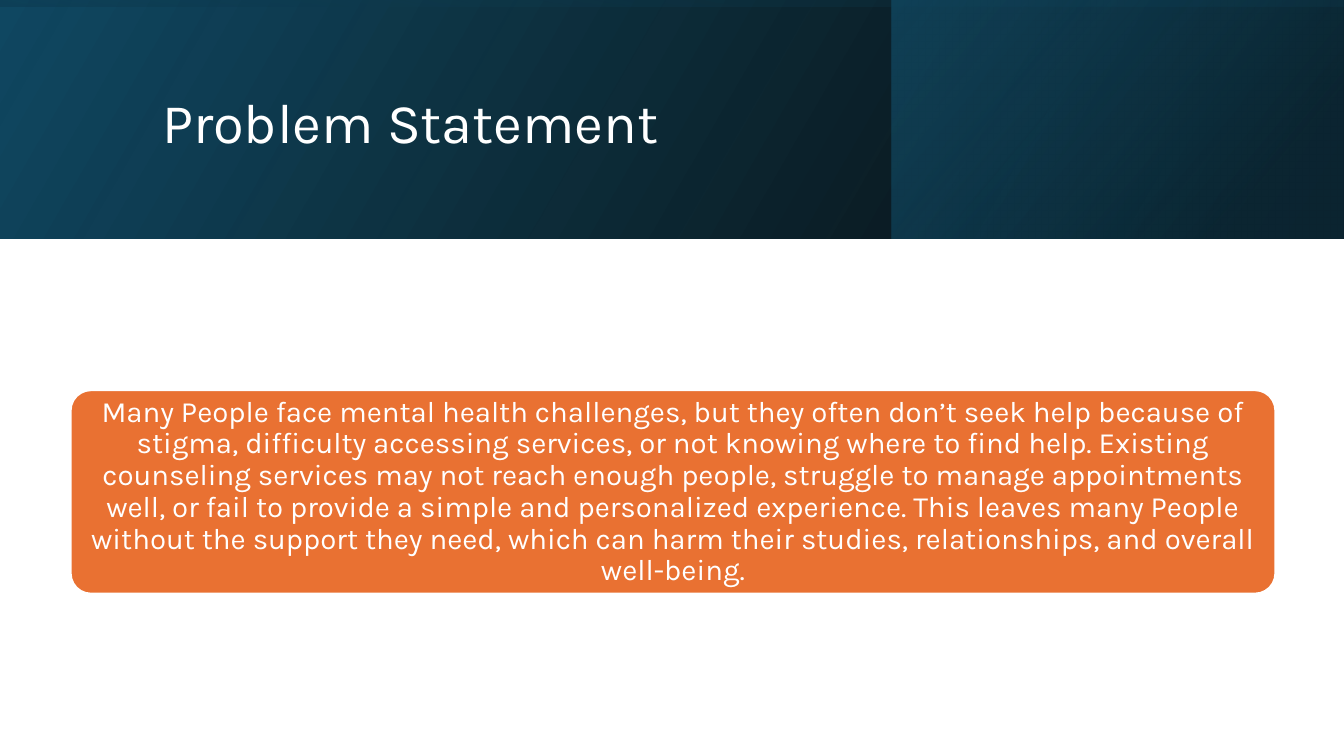
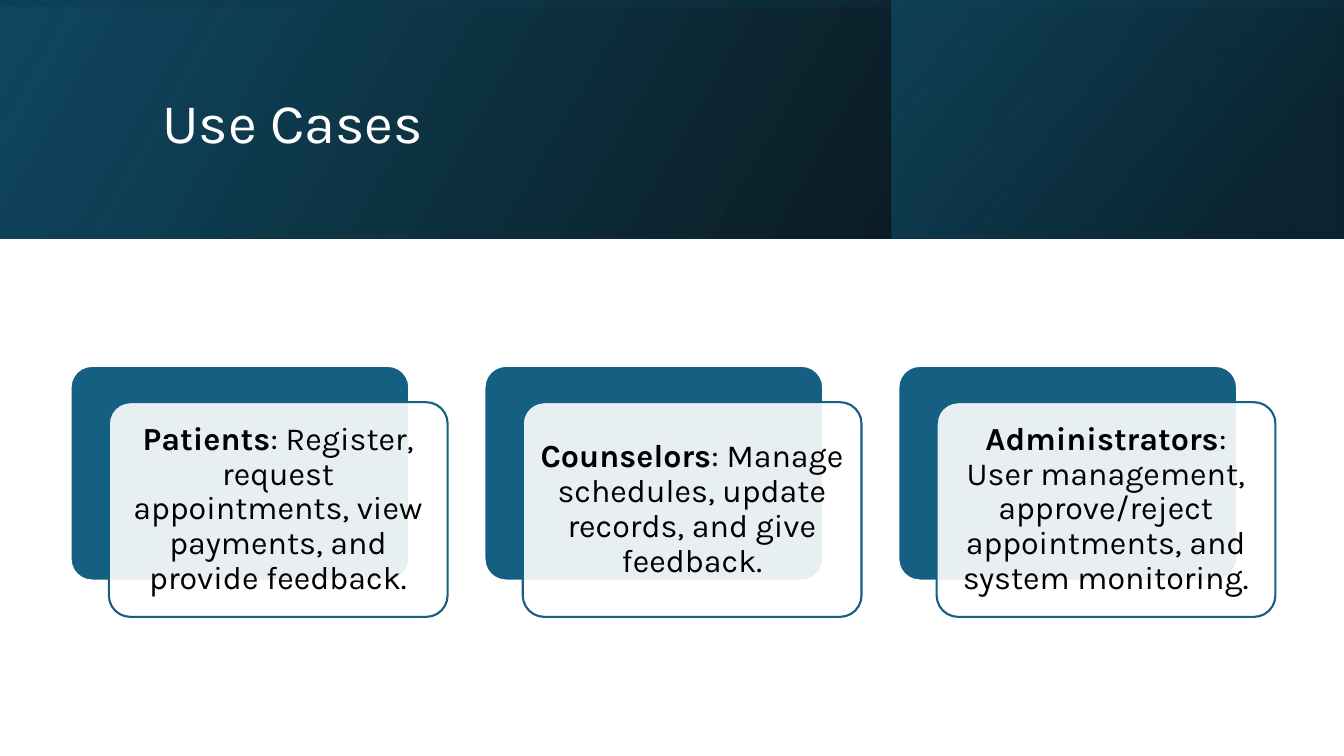
from pptx import Presentation
from pptx.dml.color import RGBColor
from pptx.enum import shapes, text
from pptx.oxml import ns
from pptx.util import Inches, Pt
from lxml import etree

COLORS = {"white": "FFFFFF", "black": "000000", "navy": "104862",
          "deep": "0B3041", "teal": "156082", "orange": "E97132"}
FONT = "Karla"
SLIDE_W, SLIDE_H = 13.33, 7.5
BAND_H = 2.37
SIDE_W = 4.48
MARGIN = 0.7
CONTENT_W = 11.95
BANDS = [
    {"box": ((SLIDE_W - SIDE_W) * 0, 0, SLIDE_W, BAND_H), "rotation": 0, "angle": 30,
     "stops": [(0, "black", 96), (1, "navy", 100)]},
    {"box": (8.84, 0, SIDE_W, BAND_H), "rotation": 0, "angle": 40,
     "stops": [(0.19, "deep", 68), (1, "teal", 48)]},
    {"box": ((SLIDE_W - BAND_H) / 2, (BAND_H - SLIDE_W) / 2, BAND_H, SLIDE_W),
     "rotation": 270, "angle": 10,
     "stops": [(0.23, "navy", 16), (0.99, "black", 45)]},
]
PROBLEM = (
    "Many People face mental health challenges, but they often don’t seek help "
    "because of stigma, difficulty accessing services, or not knowing where to find "
    "help. Existing counseling services may not reach enough people, struggle to "
    "manage appointments well, or fail to provide a simple and personalized "
    "experience. This leaves many People without the support they need, which can "
    "harm their studies, relationships, and overall well-being."
)
USE_CASES = [
    ("Patients", ": Register, request appointments, view payments, and provide feedback."),
    ("Counselors", ": Manage schedules, update records, and give feedback."),
    ("Administrators", ": User management, approve/reject appointments, and system monitoring."),
]


def rgb(name):
    return RGBColor.from_string(COLORS[name])


def apply(target, values):
    for name, value in values.items():
        setattr(target, name, value)


def set_alpha(color, percent):
    if percent < 100:
        etree.SubElement(color, ns.qn("a:alpha")).set("val", str(percent * 1000))


def add_shape(slide, kind, box):
    sp = slide.shapes.add_shape(kind, *map(Inches, box))
    sp.shadow.inherit = False
    return sp


def add_text(slide, box, runs, size, color, inset=None, para=None):
    tf = slide.shapes.add_textbox(*map(Inches, box)).text_frame
    apply(tf, {"word_wrap": True, "vertical_anchor": text.MSO_ANCHOR.MIDDLE})
    if inset is not None:
        apply(tf, {f"margin_{side}": Inches(inset)
                   for side in ("left", "top", "right", "bottom")})
    p = tf.paragraphs[0]
    apply(p, {"line_spacing": 0.9, **(para or {})})
    for words, bold in runs:
        r = p.add_run()
        r.text = words
        apply(r.font, {"name": FONT, "size": Pt(size), "bold": bold})
        r.font.color.rgb = rgb(color)


def add_band(slide, box, rotation, angle, stops):
    sp = add_shape(slide, shapes.MSO_SHAPE.RECTANGLE, box)
    sp.rotation = rotation
    sp.line.fill.background()
    sp.fill.gradient()
    sp.fill.gradient_angle = angle
    spPr = sp._element.spPr
    spPr.find(ns.qn("a:xfrm")).set("flipH", "1")
    for stop, (position, color, _) in zip(sp.fill.gradient_stops, stops):
        stop.position = position
        stop.color.rgb = rgb(color)
    for node, (_, _, alpha) in zip(spPr.iter(ns.qn("a:srgbClr")), stops):
        set_alpha(node, alpha)


def add_header(slide, title):
    for band in BANDS:
        add_band(slide, **band)
    add_text(slide, (1.51, 0.38, 10.63, 1.72), [(title, False)], 40, "white")


def add_panel(slide, box, fill, line, alpha=100):
    sp = add_shape(slide, shapes.MSO_SHAPE.ROUNDED_RECTANGLE, box)
    sp.adjustments[0] = 0.1
    sp.fill.solid()
    sp.fill.fore_color.rgb = rgb(fill)
    set_alpha(next(sp._element.spPr.iter(ns.qn("a:srgbClr"))), alpha)
    sp.line.color.rgb = rgb(line)
    sp.line.width = Pt(1.5)


def add_panel_text(slide, box, runs, size, color, inset):
    x, y, w, h = box
    pad = 0.06
    add_text(slide, (x + pad, y + pad, w - 2 * pad, h - 2 * pad), runs, size, color, inset,
             {"alignment": text.PP_ALIGN.CENTER, "space_after": Pt(0.35 * size)})


def add_statement(slide, box):
    add_panel(slide, box, "orange", "white")
    add_panel_text(slide, box, [(PROBLEM, False)], 21, "white", 0.09)


def add_card(slide, box, role, tasks):
    x, y, w, h = box
    dx, dy = 0.38, 0.36
    size = (w - dx, h - dy)
    front = (x + dx, y + dy, *size)
    add_panel(slide, (x, y, *size), "teal", "white")
    add_panel(slide, front, "white", "teal", 90)
    add_panel_text(slide, front, [(role, True), (tasks, False)], 23, "black", 0.1)


def add_cards(slide, box):
    x, y, w, h = box
    card_w = 3.74
    pitch = (w - card_w) / (len(USE_CASES) - 1)
    for i, (role, tasks) in enumerate(USE_CASES):
        add_card(slide, (x + i * pitch, y, card_w, h), role, tasks)


def main():
    prs = Presentation()
    apply(prs, {"slide_width": Inches(SLIDE_W), "slide_height": Inches(SLIDE_H)})
    pages = [
        ("Problem Statement", add_statement, (MARGIN, 3.87, CONTENT_W, 2.02)),
        ("Use Cases", add_cards, (MARGIN, 3.63, CONTENT_W, 2.49)),
    ]
    for title, add_content, box in pages:
        slide = prs.slides.add_slide(prs.slide_layouts[6])
        add_header(slide, title)
        add_content(slide, box)
    prs.save("out.pptx")


if __name__ == "__main__":
    main()
